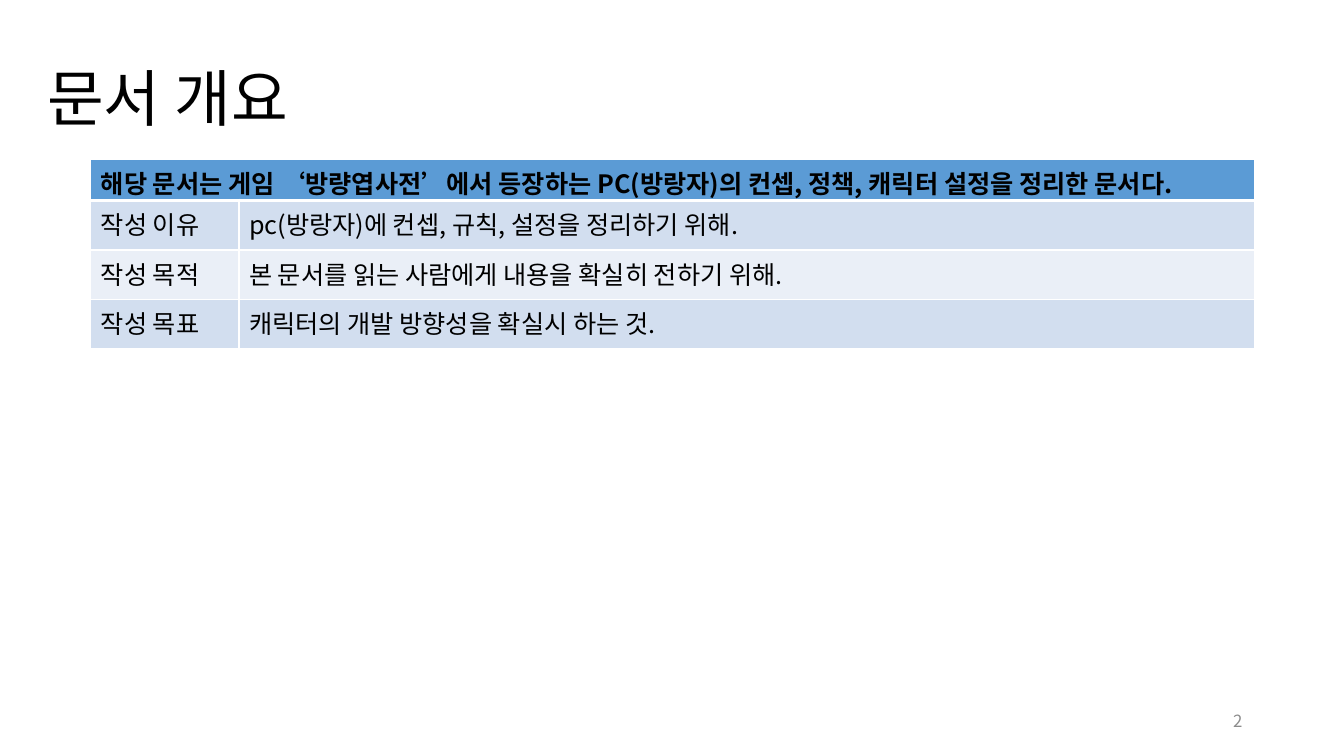
from dataclasses import dataclass

import pptx
import pptx.dml.color
import pptx.enum.text
import pptx.oxml
import pptx.oxml.ns
import pptx.util
from pptx.util import Inches

FONT = "Noto Sans CJK KR"
COLORS = {
    "text": "000000",
    "page_number": "8C8C8C",
    "header": "5B9BD5",
    "band_dark": "D2DEEF",
    "band_light": "EAEFF7",
    "border": "FFFFFF",
}
ALIGN = pptx.enum.text.PP_ALIGN


@dataclass
class TextBox:
    text: str
    left: float
    top: float
    width: float
    height: float
    size: float
    color: str = "text"
    align: ALIGN = ALIGN.LEFT
    line_spacing: float = 1.0


@dataclass
class TableRow:
    texts: tuple[str, ...]
    height: float
    fill: str
    bold: bool = False
    bottom_border: float = 1


TEXT_BOXES = [
    TextBox("문서 개요", 0.37, 0.42, 12.6, 1.17, 44, line_spacing=0.9),
    TextBox("2", 9.42, 6.95, 3, 0.4, 12, "page_number", ALIGN.RIGHT),
]
COLUMN_WIDTHS = (1.47, 10.07)
ROWS = [
    TableRow(("해당 문서는 게임 ‘방량엽사전’에서 등장하는 PC(방랑자)의 컨셉, 정책, 캐릭터 설정을 정리한 문서다.",),
             0.41, "header", True, 3),
    TableRow(("작성 이유", "pc(방랑자)에 컨셉, 규칙, 설정을 정리하기 위해."), 0.49, "band_dark"),
    TableRow(("작성 목적", "본 문서를 읽는 사람에게 내용을 확실히 전하기 위해."), 0.49, "band_light"),
    TableRow(("작성 목표", "캐릭터의 개발 방향성을 확실시 하는 것."), 0.49, "band_dark"),
]


def rgb(name: str) -> pptx.dml.color.RGBColor:
    return pptx.dml.color.RGBColor.from_string(COLORS[name])


def add_run(paragraph, text: str, size: float, color: str = "text", bold: bool = False) -> None:
    run = paragraph.add_run()
    run.text = text
    run.font.size = pptx.util.Pt(size)
    run.font.bold = bold
    run.font.color.rgb = rgb(color)
    run.font.name = FONT
    east_asian = pptx.oxml.parse_xml(
        f'<a:ea {pptx.oxml.ns.nsdecls("a")} typeface="{FONT}"/>')
    run.font._element.append(east_asian)


def add_text_box(slide, box: TextBox) -> None:
    shape = slide.shapes.add_textbox(
        Inches(box.left), Inches(box.top), Inches(box.width), Inches(box.height))
    frame = shape.text_frame
    frame.word_wrap = True
    frame.vertical_anchor = pptx.enum.text.MSO_ANCHOR.MIDDLE
    paragraph = frame.paragraphs[0]
    paragraph.alignment = box.align
    paragraph.line_spacing = box.line_spacing
    add_run(paragraph, box.text, box.size, box.color)


def set_borders(cell, top: float, bottom: float) -> None:
    properties = cell._tc.get_or_add_tcPr()
    sides = {"lnL": 1, "lnR": 1, "lnT": top, "lnB": bottom}
    for position, (side, width) in enumerate(sides.items()):
        properties.insert(position, pptx.oxml.parse_xml(
            f'<a:{side} {pptx.oxml.ns.nsdecls("a")} w="{pptx.util.Pt(width)}">'
            f'<a:solidFill><a:srgbClr val="{COLORS["border"]}"/></a:solidFill></a:{side}>'))


def add_overview_table(slide) -> None:
    table = slide.shapes.add_table(
        len(ROWS), len(COLUMN_WIDTHS), Inches(0.9), Inches(1.58),
        Inches(sum(COLUMN_WIDTHS)), Inches(sum(row.height for row in ROWS))).table
    for column, width in zip(table.columns, COLUMN_WIDTHS):
        column.width = Inches(width)
    table.cell(0, 0).merge(table.cell(0, 1))

    top_border = 1
    for row_index, row in enumerate(ROWS):
        table.rows[row_index].height = Inches(row.height)
        for cell in table.rows[row_index].cells:
            cell.fill.solid()
            cell.fill.fore_color.rgb = rgb(row.fill)
            set_borders(cell, top_border, row.bottom_border)
        for column_index, text in enumerate(row.texts):
            paragraph = table.cell(row_index, column_index).text_frame.paragraphs[0]
            add_run(paragraph, text, 18, bold=row.bold)
        top_border = row.bottom_border


def main() -> None:
    presentation = pptx.Presentation()
    presentation.slide_width = Inches(13.33)
    presentation.slide_height = Inches(7.5)
    slide = presentation.slides.add_slide(presentation.slide_layouts[6])

    # Title and page number
    for box in TEXT_BOXES:
        add_text_box(slide, box)

    # Document overview
    add_overview_table(slide)

    presentation.save("out.pptx")


if __name__ == "__main__":
    main()
